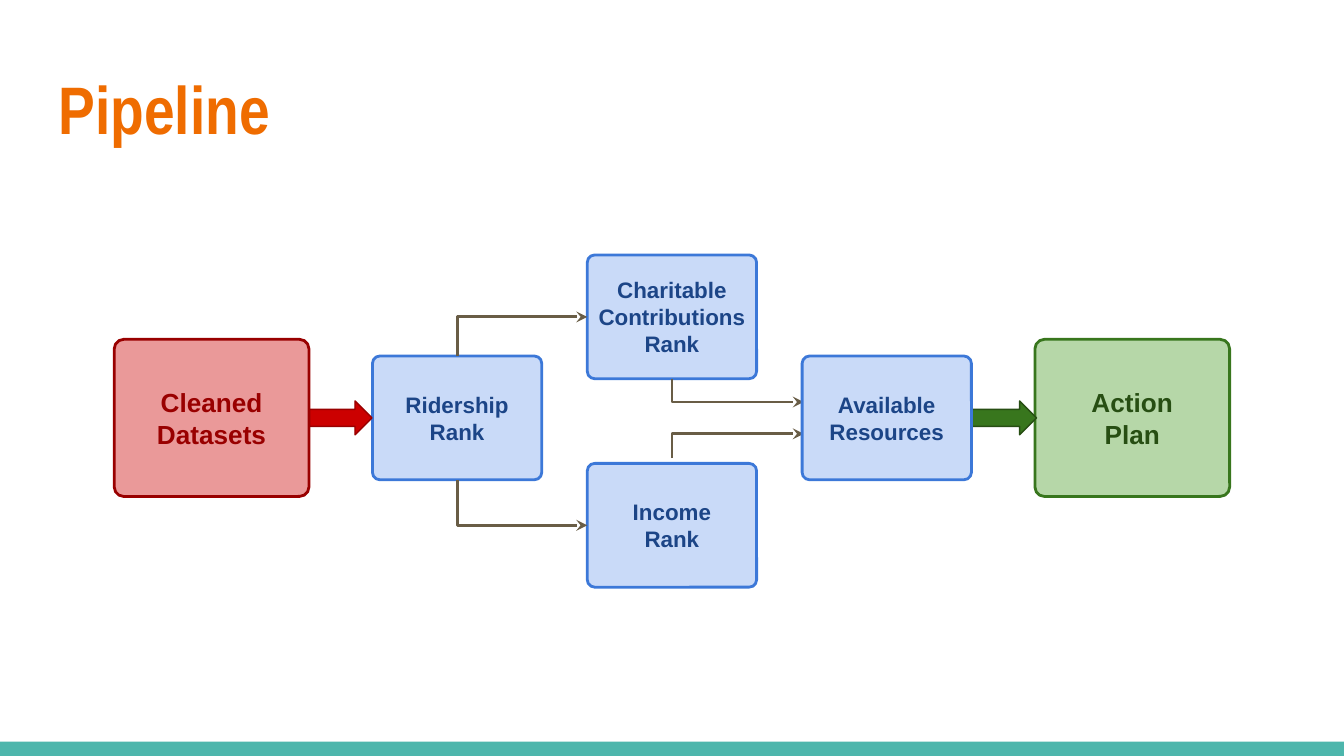
from dataclasses import dataclass

import pptx
import pptx.dml.color
import pptx.enum.shapes
import pptx.enum.text
import pptx.oxml
import pptx.oxml.ns
import pptx.util
from pptx.util import Cm, Pt

SHAPE = pptx.enum.shapes.MSO_SHAPE
ANCHOR = pptx.enum.text.MSO_ANCHOR
ALIGN = pptx.enum.text.PP_ALIGN


@dataclass(frozen=True)
class Theme:
    font: str = "Arial"
    title_font: str = "Arial Narrow"
    title_size: int = 36
    stage_size: int = 14
    step_size: int = 12
    title: str = "EF6C00"
    footer: str = "4DB6AC"
    connector: str = "695D46"
    # fill, line, text
    step: tuple = ("C9DAF8", "3C78D8", "1C4587")
    source: tuple = ("EA9999", "990000", "990000")
    result: tuple = ("B6D7A8", "38761D", "274E13")
    # fill, line
    source_arrow: tuple = ("CC0000", "990000")
    result_arrow: tuple = ("38761D", "274E13")


THEME = Theme()
STEP_SIZE = (3.2, 2.34)
STAGE_SIZE = (3.68, 2.97)
CENTER_X, CENTER_Y = 12.7, 7.9
STEP_PITCH = 4.06
STAGE_OFFSET = 8.7
TOP_Y, BOTTOM_Y = 5.99, 9.93


def rgb(value):
    return pptx.dml.color.RGBColor.from_string(value)


def style_text(tf, font, size, color, align):
    tf.word_wrap = True
    for p in tf.paragraphs:
        p.alignment = align
        for r in p.runs:
            r.font.name = font
            r.font.size = Pt(size)
            r.font.bold = True
            r.font.color.rgb = rgb(color)


def set_insets(tf, side):
    tf.margin_left = tf.margin_right = Cm(side)
    tf.margin_top = tf.margin_bottom = Cm(0.25)


def add_filled(s, kind, x, y, w, h, fill, line=None, weight=0.75):
    sp = s.shapes.add_shape(kind, Cm(x), Cm(y), Cm(w), Cm(h))
    sp.shadow.inherit = False
    sp.fill.solid()
    sp.fill.fore_color.rgb = rgb(fill)
    if line:
        sp.line.color.rgb = rgb(line)
        sp.line.width = Pt(weight)
    else:
        sp.line.fill.background()
    return sp


def add_title(s, text):
    sp = s.shapes.add_textbox(Cm(0.86), Cm(1.02), Cm(23.67), Cm(1.96))
    tf = sp.text_frame
    tf.text = text
    set_insets(tf, 0.25)
    style_text(tf, THEME.title_font, THEME.title_size, THEME.title, ALIGN.LEFT)


def add_box(s, text, cx, cy, box_size, font_size, colors, side=0.25):
    """Add a rounded box centred on (cx, cy)."""
    w, h = box_size
    fill, line, color = colors
    sp = add_filled(s, SHAPE.ROUNDED_RECTANGLE, cx - w / 2, cy - h / 2, w, h,
                    fill, line, 1.5)
    sp.adjustments[0] = 0.06
    tf = sp.text_frame
    tf.text = text
    tf.vertical_anchor = ANCHOR.MIDDLE
    set_insets(tf, side)
    style_text(tf, THEME.font, font_size, color, ALIGN.CENTER)


def add_step(s, text, cx, cy, side=0.25):
    add_box(s, text, cx, cy, STEP_SIZE, THEME.step_size, THEME.step, side)


def add_stage(s, text, cx, colors):
    add_box(s, text, cx, CENTER_Y, STAGE_SIZE, THEME.stage_size, colors)


def add_block_arrow(s, x, colors):
    add_filled(s, SHAPE.RIGHT_ARROW, x, CENTER_Y - 0.32, 1.35, 0.64, *colors)


def add_elbow(s, x1, y1, x2, y2):
    """Add an arrow that runs vertically from the start, then right to the end."""
    cx, cy = (x1 + x2) / 2, (y1 + y2) / 2
    w, h = abs(y2 - y1), x2 - x1
    # The frame is laid out before its quarter turn, so the sides swap.
    cxn = s.shapes.add_connector(
        pptx.enum.shapes.MSO_CONNECTOR.ELBOW,
        Cm(cx - w / 2), Cm(cy - h / 2), Cm(cx + w / 2), Cm(cy + h / 2))
    cxn.line.color.rgb = rgb(THEME.connector)
    cxn.line.width = Pt(1.5)
    qn = pptx.oxml.ns.qn
    sp_pr = cxn._element.spPr
    xfrm = sp_pr.find(qn("a:xfrm"))
    xfrm.set("rot", str(270 * 60000))
    if y2 > y1:
        xfrm.set("flipH", "1")
    sp_pr.find(qn("a:prstGeom")).set("prst", "bentConnector2")
    ns = pptx.oxml.ns.nsdecls("a")
    sp_pr.find(qn("a:ln")).append(
        pptx.oxml.parse_xml(f'<a:tailEnd {ns} type="stealth"/>'))
    sp_pr.append(pptx.oxml.parse_xml(f"<a:effectLst {ns}/>"))


def add_branches(s, left_x, right_x):
    half_w, half_h = STEP_SIZE[0] / 2, STEP_SIZE[1] / 2
    for sign, rank_y, gap in ((-1, TOP_Y, 0), (1, BOTTOM_Y, 0.1)):
        add_elbow(s, left_x, CENTER_Y + sign * half_h,
                  CENTER_X - half_w, rank_y)
        add_elbow(s, CENTER_X, rank_y - sign * (half_h + gap),
                  right_x - half_w + 0.03, CENTER_Y + sign * 0.3)


def main():
    prs = pptx.Presentation()
    prs.slide_width, prs.slide_height = Cm(25.4), Cm(14.29)
    s = prs.slides.add_slide(prs.slide_layouts[6])
    left_x, right_x = CENTER_X - STEP_PITCH, CENTER_X + STEP_PITCH

    add_filled(s, SHAPE.RECTANGLE, 0, 14.02, 25.4, 0.27, THEME.footer)
    add_title(s, "Pipeline")
    add_step(s, "Ridership Rank", left_x, CENTER_Y)
    add_block_arrow(s, 5.68, THEME.source_arrow)
    add_step(s, "Charitable Contributions Rank", CENTER_X, TOP_Y, side=0)
    add_step(s, "Income Rank", CENTER_X, BOTTOM_Y)
    add_stage(s, "Action\nPlan", CENTER_X + STAGE_OFFSET, THEME.result)
    add_block_arrow(s, 18.24, THEME.result_arrow)
    add_branches(s, left_x, right_x)
    add_step(s, "Available Resources", right_x, CENTER_Y)
    add_stage(s, "Cleaned Datasets", CENTER_X - STAGE_OFFSET, THEME.source)
    prs.save("out.pptx")


if __name__ == "__main__":
    main()
